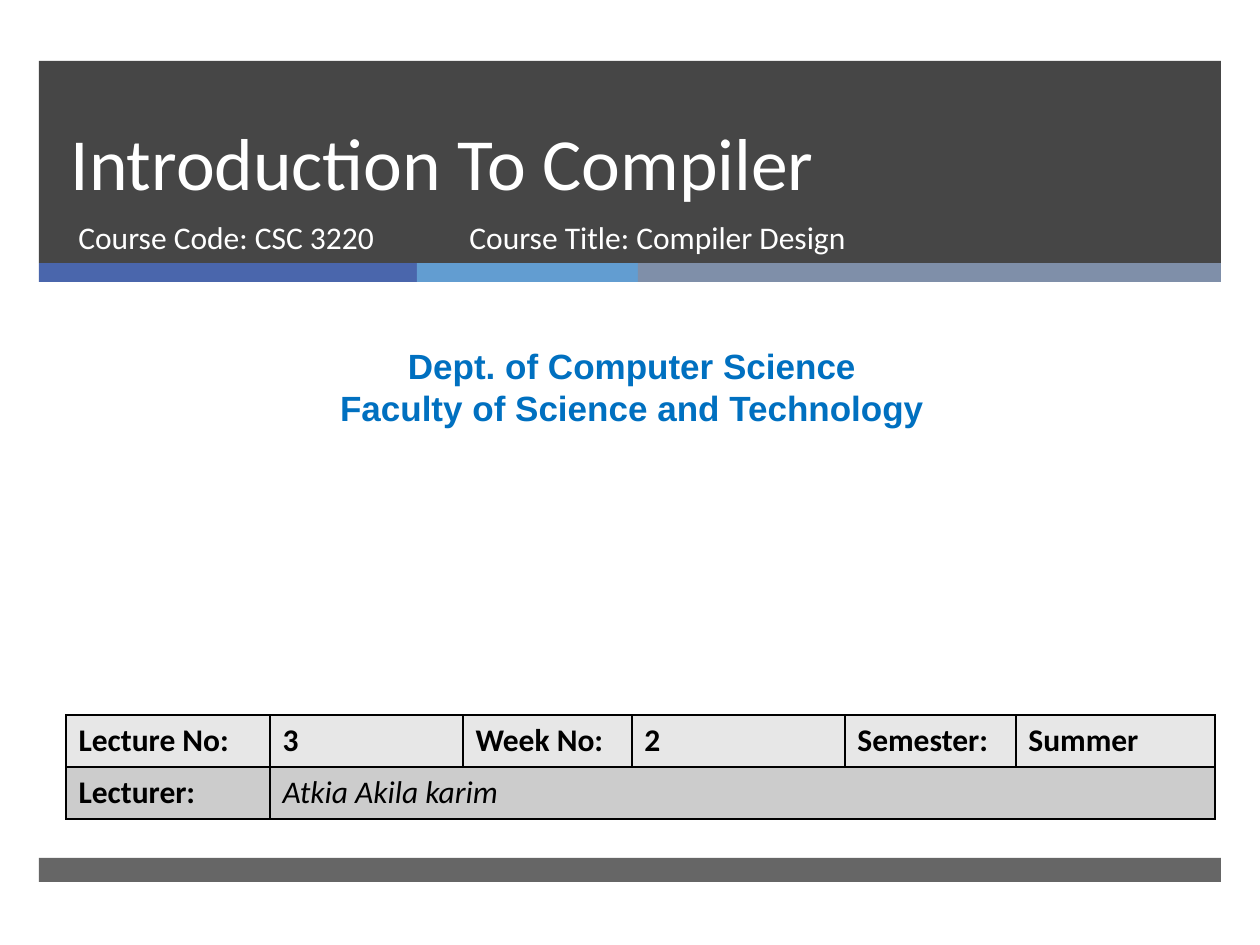
from lxml import etree
from pptx import Presentation
from pptx import util as u
from pptx.dml import color
from pptx.enum import shapes, text
from pptx.oxml import ns

PX = u.Inches(1) / 126


def px(*lengths):
    return [u.Emu(round(n * PX)) for n in lengths]


def rgb(value):
    return color.RGBColor.from_string(value)


class CourseSlide:
    """Style and drawing methods for one course cover slide."""

    face = "Calibri"
    dark, white, black, accent = "262626", "FFFFFF", "000000", "0070C0"

    def __init__(self, deck):
        self.slide = deck.slides.add_slide(deck.slide_layouts[5])

    def style(self, paragraph, size, ink, face=None, bold=False, italic=False):
        font = paragraph.font
        font.name, font.size = face or self.face, u.Pt(size)
        font.bold, font.italic = bold, italic
        font.color.rgb = rgb(ink)

    def band(self, left, top, width, height, fill, opacity=100):
        bar = self.slide.shapes.add_shape(
            shapes.MSO_SHAPE.RECTANGLE, *px(left, top, width, height))
        bar.shadow.inherit = False
        bar.fill.solid()
        bar.fill.fore_color.rgb = rgb(fill)
        bar.line.fill.background()
        if opacity < 100:
            tint = bar._element.spPr.find(".//" + ns.qn("a:srgbClr"))
            etree.SubElement(tint, ns.qn("a:alpha"), val=str(opacity * 1000))

    def title(self, words, left, top, width, height):
        heading = self.slide.shapes.title
        self.slide.shapes._spTree.append(heading._element)
        heading.left, heading.top, heading.width, heading.height = px(left, top, width, height)
        frame = heading.text_frame
        frame.text = words
        frame.auto_size = text.MSO_AUTO_SIZE.NONE
        frame.vertical_anchor = text.MSO_ANCHOR.BOTTOM
        line = frame.paragraphs[0]
        line.alignment = text.PP_ALIGN.LEFT
        line.line_spacing = u.Pt(46)
        self.style(line, 42, self.white)

    def label(self, lines, left, top, width, height, size=18, ink=None,
              face=None, bold=False, align=text.PP_ALIGN.LEFT, spacing=None):
        frame = self.slide.shapes.add_textbox(*px(left, top, width, height)).text_frame
        frame.word_wrap = True
        frame.text = "\n".join(lines)
        for line in frame.paragraphs:
            line.alignment = align
            line.line_spacing = spacing
            self.style(line, size, ink or self.white, face, bold)

    def border(self, cell):
        props = cell._tc.get_or_add_tcPr()
        for index, side in enumerate(("lnL", "lnR", "lnT", "lnB")):
            edge = etree.Element(ns.qn("a:" + side), w=str(u.Pt(1)))
            fill = etree.SubElement(edge, ns.qn("a:solidFill"))
            etree.SubElement(fill, ns.qn("a:srgbClr"), val=self.black)
            props.insert(index, edge)

    def table(self, rows, fills, left, top, widths, row_height):
        grid = self.slide.shapes.add_table(
            len(rows), len(widths),
            *px(left, top, sum(widths), row_height * len(rows))).table
        for column, width in zip(grid.columns, px(*widths)):
            column.width = width
        for r, (words, fill) in enumerate(zip(rows, fills)):
            grid.rows[r].height = px(row_height)[0]
            if len(words) < len(widths):
                grid.cell(r, len(words) - 1).merge(grid.cell(r, len(widths) - 1))
            for c in range(len(widths)):
                cell = grid.cell(r, c)
                cell.fill.solid()
                cell.fill.fore_color.rgb = rgb(fill)
                self.border(cell)
                if c < len(words):
                    cell.text = words[c]
                    name = r == 1 and c == 1
                    self.style(cell.text_frame.paragraphs[0], 18, self.black,
                               bold=not name, italic=name)


def main():
    deck = Presentation()
    deck.slide_width, deck.slide_height = px(1260, 945)
    cover = CourseSlide(deck)

    cover.band(39, 61, 1182, 202, cover.dark, 85)
    left = 39
    for width, fill in ((378, "4A66AC"), (221, "629DD1"), (583, "7F8FA9")):
        cover.band(left, 263, width, 19, fill)
        left += width
    cover.band(39, 858, 1182, 24, cover.dark, 70)

    cover.title("Introduction To Compiler", 58, 62, 1076, 150)
    cover.label(["Course Code: CSC 3220"], 66, 212, 384, 67)
    cover.label(["Course Title: Compiler Design"], 457, 212, 573, 67)
    cover.label(["Dept. of Computer Science", "Faculty of Science and Technology"],
                10, 338, 1244, 97, size=20, ink=cover.accent, face="Arial",
                bold=True, align=text.PP_ALIGN.CENTER, spacing=u.Pt(24))
    cover.table(
        [["Lecture No:", "3", "Week No:", "2", "Semester:", "Summer"],
         ["Lecturer:", "Atkia Akila karim"]],
        ["E7E7E7", "CCCCCC"], 66, 715, [204, 193, 169, 213, 171, 199], 52)

    deck.save("out.pptx")


if __name__ == "__main__":
    main()
